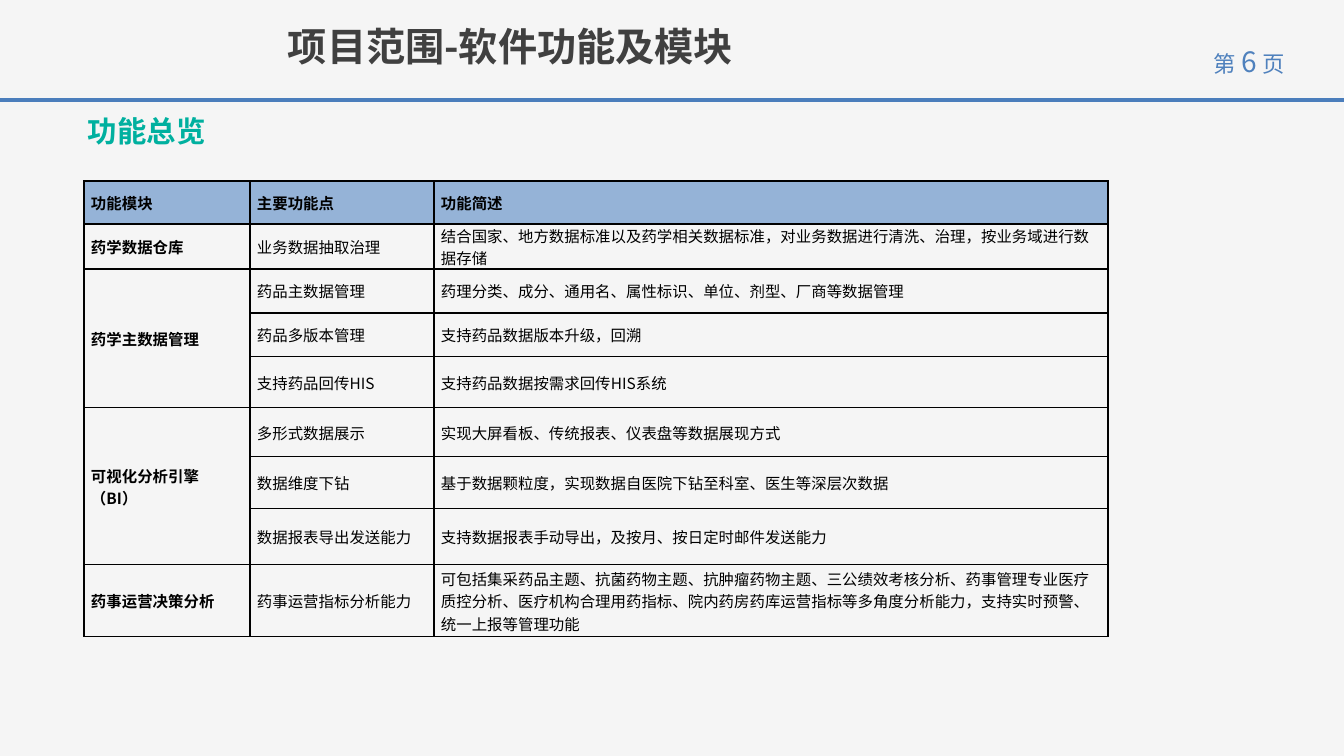
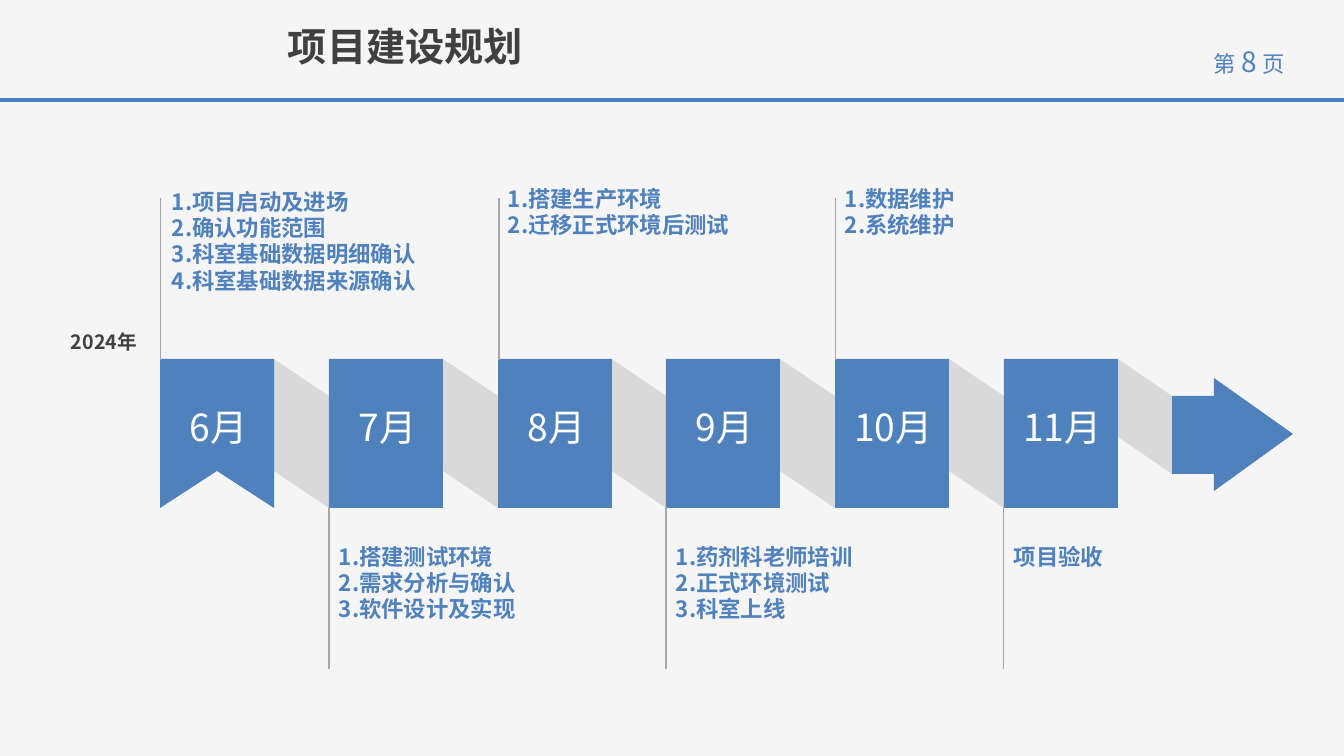
"""Build two project slides: a function overview table and a month timeline."""
from pptx import Presentation
from pptx.dml.color import RGBColor
from pptx.enum.shapes import MSO_CONNECTOR, MSO_SHAPE
from pptx.enum.text import MSO_ANCHOR as ANCHOR, PP_ALIGN as ALIGN
from pptx.oxml.ns import qn
from pptx.util import Pt
from lxml.etree import SubElement

SCALE = 914400 / 100.8
FONT = "Noto Sans CJK SC"
COLORS = {
    "back": "F5F5F5", "blue": "4F81BD", "rule": "4B7EBC", "head": "95B3D7",
    "green": "00B09F", "dark": "404040", "black": "000000", "white": "FFFFFF",
    "band": "D9D9D9", "stem": "A6A6A6",
}
RGB = {name: RGBColor.from_string(value) for name, value in COLORS.items()}


def px(*lengths):
    """Turn px lengths into EMU."""
    return [round(v * SCALE) for v in lengths]


def write(tf, lines, size=16, color="blue", bold=False, align=ALIGN.LEFT,
          anchor=ANCHOR.TOP, wrap=True, spacing=None):
    """Fill a text frame; a line is a string or a list of (text, size) runs."""
    tf.word_wrap, tf.vertical_anchor = wrap, anchor
    tf.margin_top = tf.margin_bottom = 0
    for i, line in enumerate(lines):
        p = tf.paragraphs[0] if i == 0 else tf.add_paragraph()
        p.alignment, p.line_spacing = align, spacing
        for text, points in [(line, size)] if isinstance(line, str) else line:
            r = p.add_run()
            r.text = text
            r.font.size, r.font.bold, r.font.name = Pt(points), bold, FONT
            r.font.color.rgb = RGB[color]
            SubElement(r._r.get_or_add_rPr(), qn("a:ea"), typeface=FONT)


prs = Presentation()
prs.slide_width, prs.slide_height = px(1344, 756)
fill = prs.slide_master.background.fill
fill.solid()
fill.fore_color.rgb = RGB["back"]

rules = []
for title, page in [("项目范围-软件功能及模块", "6"), ("项目建设规划", "8")]:
    s = prs.slides.add_slide(prs.slide_layouts[6])
    rules.append((s, 0, 100, 1344, 100, "rule", 2.25))
    write(s.shapes.add_textbox(*px(278, 22, 704, 58)).text_frame, [title],
          size=28, color="dark", bold=True)
    number = [("第", 16), (" ", 18), (page, 20), (" ", 18), ("页", 16)]
    write(s.shapes.add_textbox(*px(1190, 44, 118, 44)).text_frame, [number],
          align=ALIGN.CENTER, wrap=False)
overview, plan = prs.slides

write(overview.shapes.add_textbox(*px(78, 113, 155, 45)).text_frame, ["功能总览"],
      size=21, color="green", bold=True)

rows = [
    ("功能模块", "主要功能点", "功能简述"),
    ("药学数据仓库", "业务数据抽取治理",
     "结合国家、地方数据标准以及药学相关数据标准，对业务数据进行清洗、治理，按业务域进行数据存储"),
    ("药学主数据管理", "药品主数据管理", "药理分类、成分、通用名、属性标识、单位、剂型、厂商等数据管理"),
    ("", "药品多版本管理", "支持药品数据版本升级，回溯"),
    ("", "支持药品回传HIS", "支持药品数据按需求回传HIS系统"),
    ("可视化分析引擎（BI）", "多形式数据展示", "实现大屏看板、传统报表、仪表盘等数据展现方式"),
    ("", "数据维度下钻", "基于数据颗粒度，实现数据自医院下钻至科室、医生等深层次数据"),
    ("", "数据报表导出发送能力", "支持数据报表手动导出，及按月、按日定时邮件发送能力"),
    ("药事运营决策分析", "药事运营指标分析能力",
     "可包括集采药品主题、抗菌药物主题、抗肿瘤药物主题、三公绩效考核分析、药事管理专业医疗质控分析、"
     "医疗机构合理用药指标、院内药房药库运营指标等多角度分析能力，支持实时预警、统一上报等管理功能"),
]
widths = px(166, 184, 674)
heights = px(43, 45, 44, 44, 51, 49, 52, 56, 72)
table = overview.shapes.add_table(len(rows), len(widths), *px(84, 181, 1024, 456)).table
table.first_row = table.horz_banding = False
for col, width in zip(table.columns, widths):
    col.width = width
for row, height in zip(table.rows, heights):
    row.height = height
for i, row in enumerate(rows):
    for j, text in enumerate(row):
        cell = table.cell(i, j)
        cell.margin_left, cell.margin_right = px(7, 7)
        cell.margin_top = cell.margin_bottom = 0
        cell.vertical_anchor = ANCHOR.MIDDLE
        if text:
            write(cell.text_frame, [text], size=11, color="black",
                  bold=i == 0 or j == 0, anchor=None, wrap=None)
        for side in ("lnL", "lnR", "lnT", "lnB"):
            ln = SubElement(cell._tc.get_or_add_tcPr(), qn("a:" + side), w=str(Pt(1)))
            SubElement(SubElement(ln, qn("a:solidFill")), qn("a:srgbClr"),
                       val=COLORS["black"])
        if i == 0:
            cell.fill.solid()
            cell.fill.fore_color.rgb = RGB["head"]
        else:
            cell.fill.background()
for first in (2, 5):
    table.cell(first, 0).merge(table.cell(first + 2, 0))

months = [
    ("6月", 190, ["1.项目启动及进场", "2.确认功能范围", "3.科室基础数据明细确认", "4.科室基础数据来源确认"]),
    ("7月", 545, ["1.搭建测试环境", "2.需求分析与确认", "3.软件设计及实现"]),
    ("8月", 187, ["1.搭建生产环境", "2.迁移正式环境后测试"]),
    ("9月", 545, ["1.药剂科老师培训", "2.正式环境测试", "3.科室上线"]),
    ("10月", 187, ["1.数据维护", "2.系统维护"]),
    ("11月", 545, ["项目验收"]),
]
TOP, BOTTOM, BLOCK = 359, 508, 114
lefts = [160 + round(168.8 * i) for i in range(len(months))]
ends = lefts[1:] + [1172]

outlines = []
for left, end in zip(lefts, ends):
    low = 474 if end == ends[-1] else BOTTOM
    right = left + BLOCK
    outlines.append(("band", [(right, TOP), (end, TOP + 37), (end, low), (right, low - 37)]))
outlines.append(("blue", [(1172, 396), (1214, 396), (1214, 378), (1293, 434),
                          (1214, 491), (1214, 474), (1172, 474)]))
outlines.append(("blue", [(160, TOP), (274, TOP), (274, BOTTOM), (217, 471), (160, BOTTOM)]))
filled = []
for color, points in outlines:
    builder = plan.shapes.build_freeform(*points[0], scale=SCALE)
    builder.add_line_segments(points[1:], close=True)
    filled.append((builder.convert_to_shape(), color))
for left in lefts[1:]:
    sp = plan.shapes.add_shape(MSO_SHAPE.RECTANGLE, *px(left, TOP, BLOCK, BOTTOM - TOP))
    filled.append((sp, "blue"))
for sp, color in filled:
    sp.shadow.inherit = False
    sp.fill.solid()
    sp.fill.fore_color.rgb = RGB[color]
    sp.line.fill.background()

for i, (left, (month, top, tasks)) in enumerate(zip(lefts, months)):
    write(plan.shapes.add_textbox(*px(left - 12, 377, 141, 100)).text_frame, [month],
          size=26.6, color="white", align=ALIGN.CENTER, anchor=ANCHOR.MIDDLE)
    x = left + 2 if i == 0 else left
    write(plan.shapes.add_textbox(*px(x, top, 318 if i == 0 else 282, 137)).text_frame,
          tasks, bold=True, spacing=0.97)
    if top < TOP:
        rules.append((plan, left + 1, 198, left + 1, 360, "stem", 0.75))
    else:
        rules.append((plan, left, 507, left, 669, "stem", 0.75))
write(plan.shapes.add_textbox(*px(61, 330, 101, 34)).text_frame, ["2024年"],
      size=14, color="dark", bold=True)

for s, x1, y1, x2, y2, color, width in rules:
    line = s.shapes.add_connector(MSO_CONNECTOR.STRAIGHT, *px(x1, y1, x2, y2))
    line.line.color.rgb = RGB[color]
    line.line.width = Pt(width)
    SubElement(line._element.spPr, qn("a:effectLst"))

prs.save("out.pptx")
